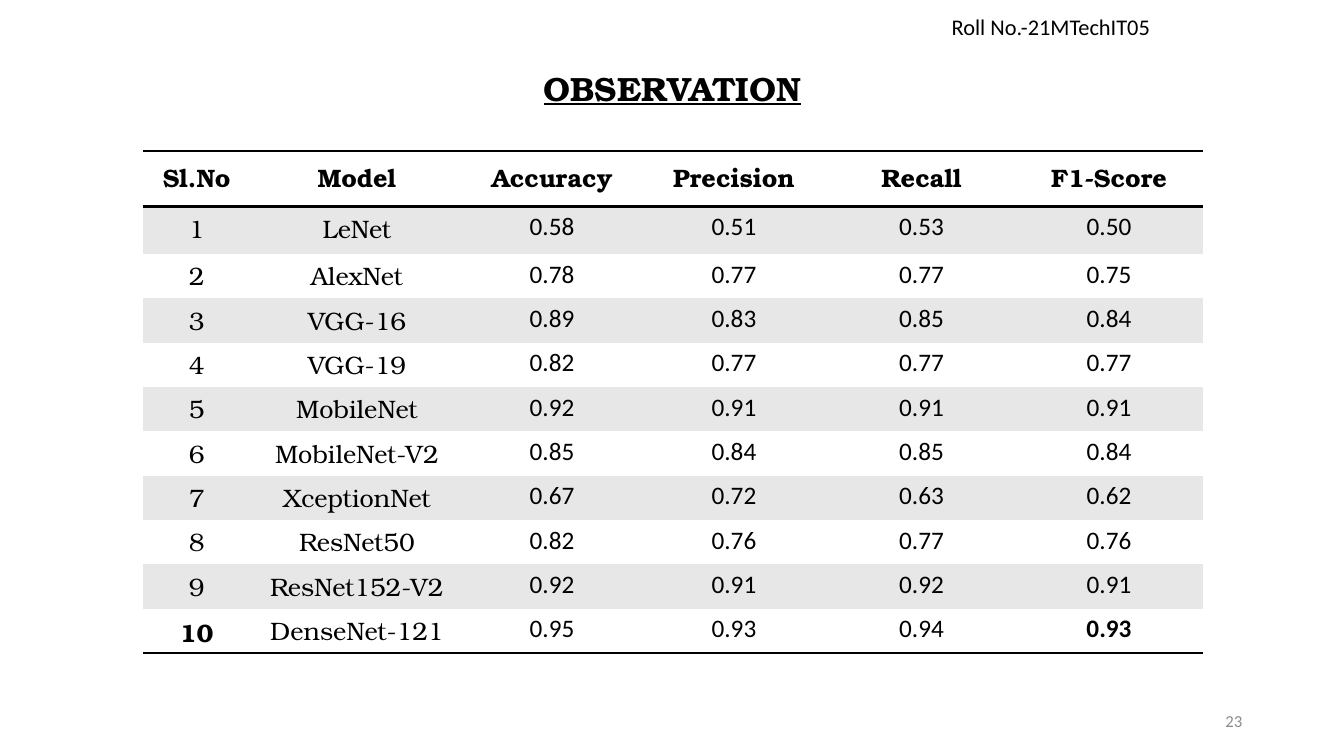
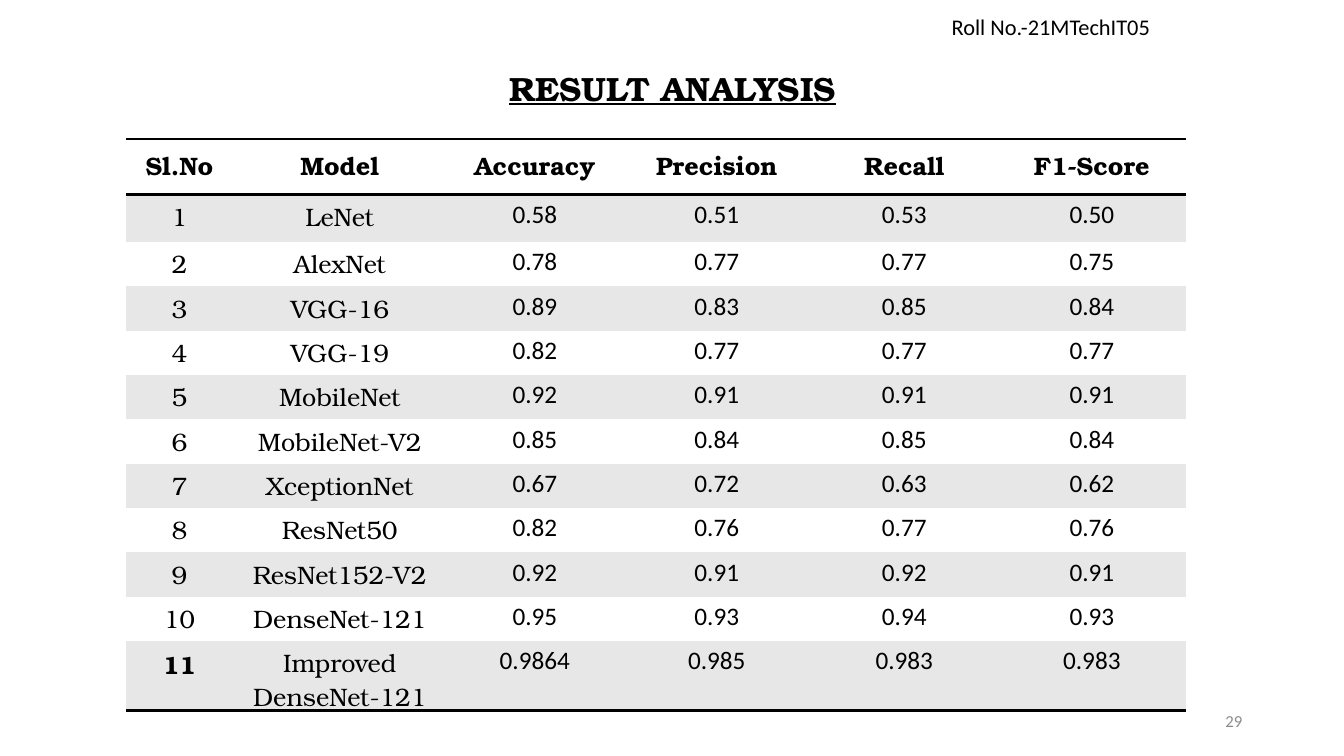
import pptx
import pptx.util
from lxml import etree
from pptx.dml.color import RGBColor
from pptx.enum.text import MSO_ANCHOR, PP_ALIGN
from pptx.oxml.ns import qn

PX = 9144  # EMU in one px, 100 px to the inch
SLIDE_SIZE = (1333, 750)

BLACK = RGBColor(0x00, 0x00, 0x00)
WHITE = RGBColor(0xFF, 0xFF, 0xFF)
BAND_GRAY = RGBColor(0xE7, 0xE7, 0xE7)
NUMBER_GRAY = RGBColor(0x8C, 0x8C, 0x8C)

SERIF = "TeX Gyre Bonum"
SANS = "Calibri"
PLAIN_TABLE_STYLE = "{2D5ABB26-0587-4C30-8999-92F81FD0307C}"

# Boxes: left, top, width, height
TITLE_BOX = (273, 48, 788, 83)
NUMBER_BOX = (942, 695, 300, 40)
ROLL_BOX = (934, 8, 224, 37)

COLUMN_WIDTHS = (106, 212, 175, 186, 186, 186)
HEADER_HEIGHT, FIRST_ROW_HEIGHT, ROW_HEIGHT = 55, 47, 44

HEADINGS = ("Sl.No", "Model", "Accuracy", "Precision", "Recall", "F1-Score")
MODELS = [
    ("LeNet", "0.58", "0.51", "0.53", "0.50"),
    ("AlexNet", "0.78", "0.77", "0.77", "0.75"),
    ("VGG-16", "0.89", "0.83", "0.85", "0.84"),
    ("VGG-19", "0.82", "0.77", "0.77", "0.77"),
    ("MobileNet", "0.92", "0.91", "0.91", "0.91"),
    ("MobileNet-V2", "0.85", "0.84", "0.85", "0.84"),
    ("XceptionNet", "0.67", "0.72", "0.63", "0.62"),
    ("ResNet50", "0.82", "0.76", "0.77", "0.76"),
    ("ResNet152-V2", "0.92", "0.91", "0.92", "0.91"),
    ("DenseNet-121", "0.95", "0.93", "0.94", "0.93"),
]
IMPROVED_MODEL = ("Improved DenseNet-121", "0.9864", "0.985", "0.983", "0.983")


def px(length):
    return pptx.util.Emu(length * PX)


def write(text_frame, text, size, font_name, color=BLACK, align=PP_ALIGN.CENTER, bold=False):
    paragraph = text_frame.paragraphs[0]
    paragraph.text = text
    paragraph.alignment = align
    font = paragraph.font
    font.size = pptx.util.Pt(size)
    font.name = font_name
    font.bold = bold
    font.color.rgb = color
    return paragraph


def add_text_box(slide, box, anchor=MSO_ANCHOR.MIDDLE):
    text_frame = slide.shapes.add_textbox(*map(px, box)).text_frame
    text_frame.word_wrap = True
    text_frame.vertical_anchor = anchor
    return text_frame


def add_frame(slide, title, number):
    """Title, slide number and roll number, alike on every slide."""
    heading = write(add_text_box(slide, TITLE_BOX), title, 24, SERIF, bold=True)
    heading.font.underline = True
    heading.line_spacing = 0.9
    write(add_text_box(slide, NUMBER_BOX), number, 12, SANS, NUMBER_GRAY, PP_ALIGN.RIGHT)
    write(add_text_box(slide, ROLL_BOX, MSO_ANCHOR.TOP), "Roll No.-21MTechIT05", 16, SANS,
          align=PP_ALIGN.LEFT)


def add_rule(cell, position, tag):
    """Black cell border; borders come before the fill in the cell properties."""
    line = etree.Element(qn(tag), w=str(pptx.util.Pt(2)))
    fill = etree.SubElement(line, qn("a:solidFill"))
    etree.SubElement(fill, qn("a:srgbClr"), val=str(BLACK))
    cell._tc.get_or_add_tcPr().insert(position, line)


def add_score_table(slide, left, top, models, last_height, bold_cells):
    heights = [HEADER_HEIGHT, FIRST_ROW_HEIGHT] + [ROW_HEIGHT] * (len(models) - 2) + [last_height]
    frame = slide.shapes.add_table(len(heights), len(COLUMN_WIDTHS), px(left), px(top),
                                   px(sum(COLUMN_WIDTHS)), px(sum(heights)))
    table = frame.table
    table.first_row = table.horz_banding = False
    table._tbl.tblPr.find(qn("a:tableStyleId")).text = PLAIN_TABLE_STYLE
    for column, width in zip(table.columns, COLUMN_WIDTHS):
        column.width = px(width)
    for row, height in zip(table.rows, heights):
        row.height = px(height)

    rows = [HEADINGS] + [(str(i), *model) for i, model in enumerate(models, 1)]
    for i, values in enumerate(rows):
        is_header, is_last = i == 0, i == len(models)
        for j, value in enumerate(values):
            cell = table.cell(i, j)
            cell.margin_top = px(7 if is_header else 5)
            cell.margin_bottom = 0
            write(cell.text_frame, value, 18, SERIF if is_header or j < 2 else SANS,
                  bold=is_header or (i, j) in bold_cells)
            if is_header:
                cell.fill.background()
            else:
                cell.fill.solid()
                cell.fill.fore_color.rgb = BAND_GRAY if i % 2 else WHITE
            # Rules around the header and under the last row
            if is_header or is_last:
                add_rule(cell, 0, "a:lnB")
            if is_header:
                add_rule(cell, 0, "a:lnT")


def add_score_slide(presentation, title, number, **table_options):
    slide = presentation.slides.add_slide(presentation.slide_layouts[6])
    add_frame(slide, title, number)
    add_score_table(slide, **table_options)


def main():
    presentation = pptx.Presentation()
    presentation.slide_width, presentation.slide_height = map(px, SLIDE_SIZE)
    add_score_slide(presentation, "OBSERVATION", "23", left=142, top=150, models=MODELS,
                    last_height=ROW_HEIGHT, bold_cells={(10, 0), (10, 5)})
    add_score_slide(presentation, "RESULT ANALYSIS", "29", left=125, top=138,
                    models=MODELS + [IMPROVED_MODEL], last_height=69, bold_cells={(11, 0)})
    presentation.save("out.pptx")


if __name__ == "__main__":
    main()
